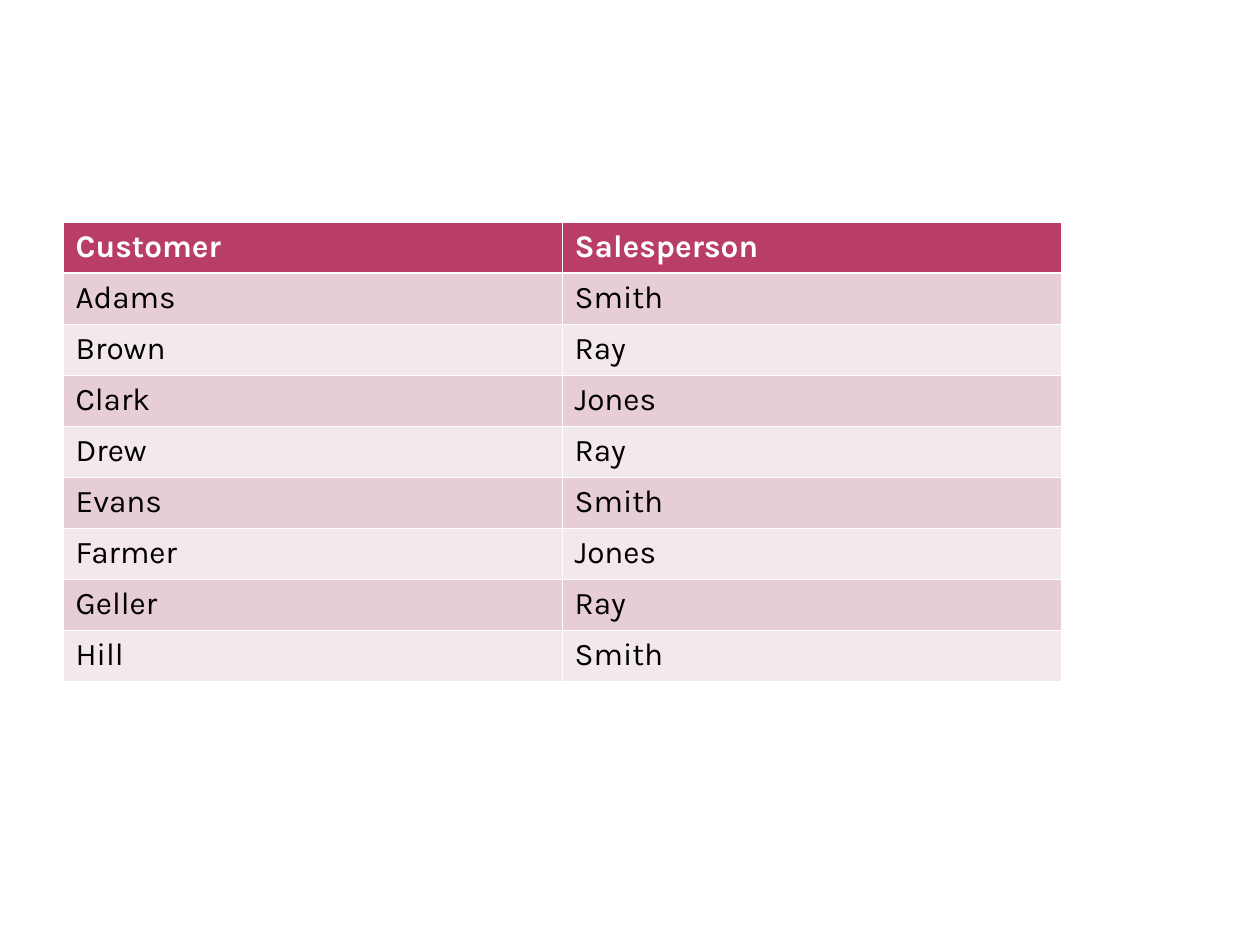
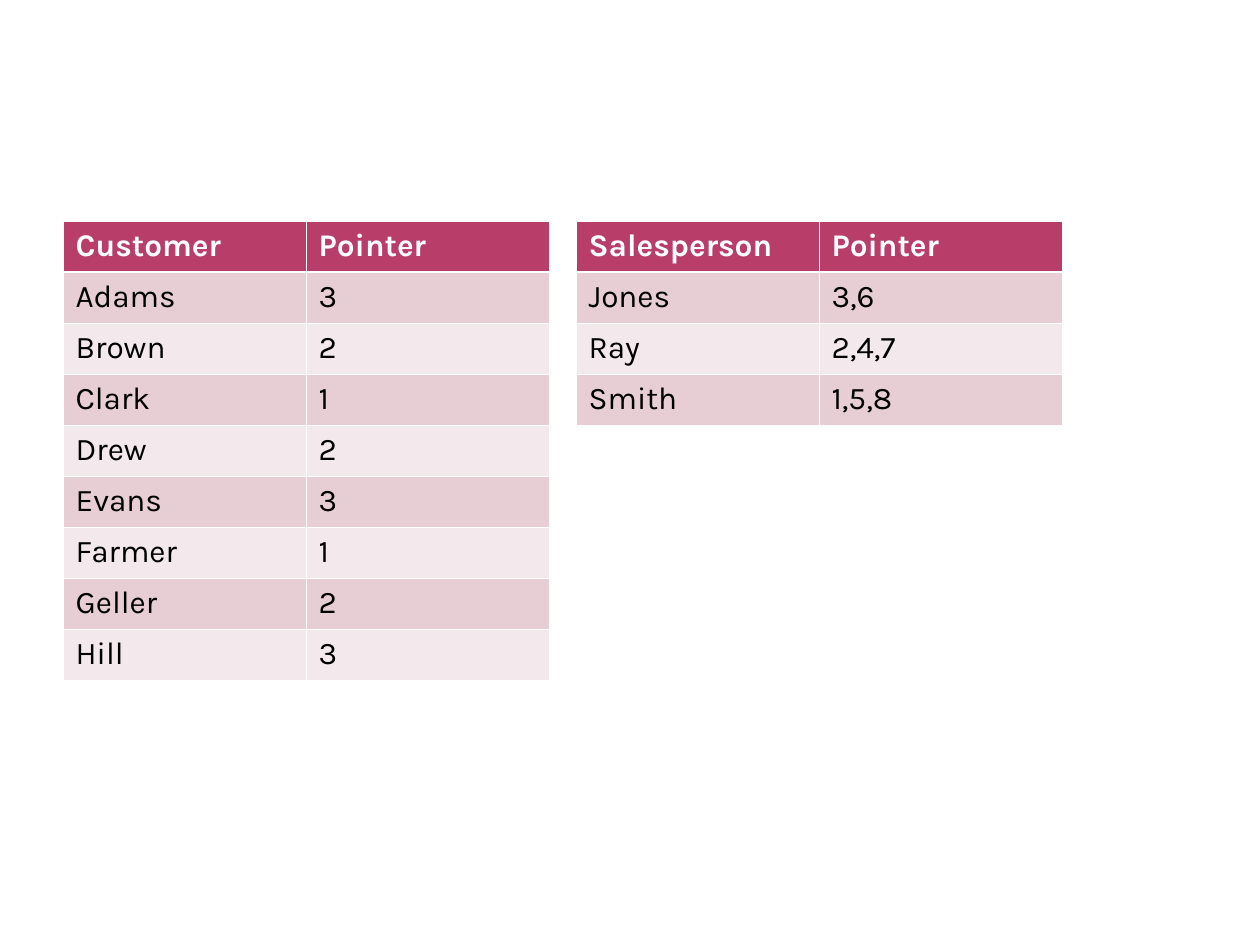
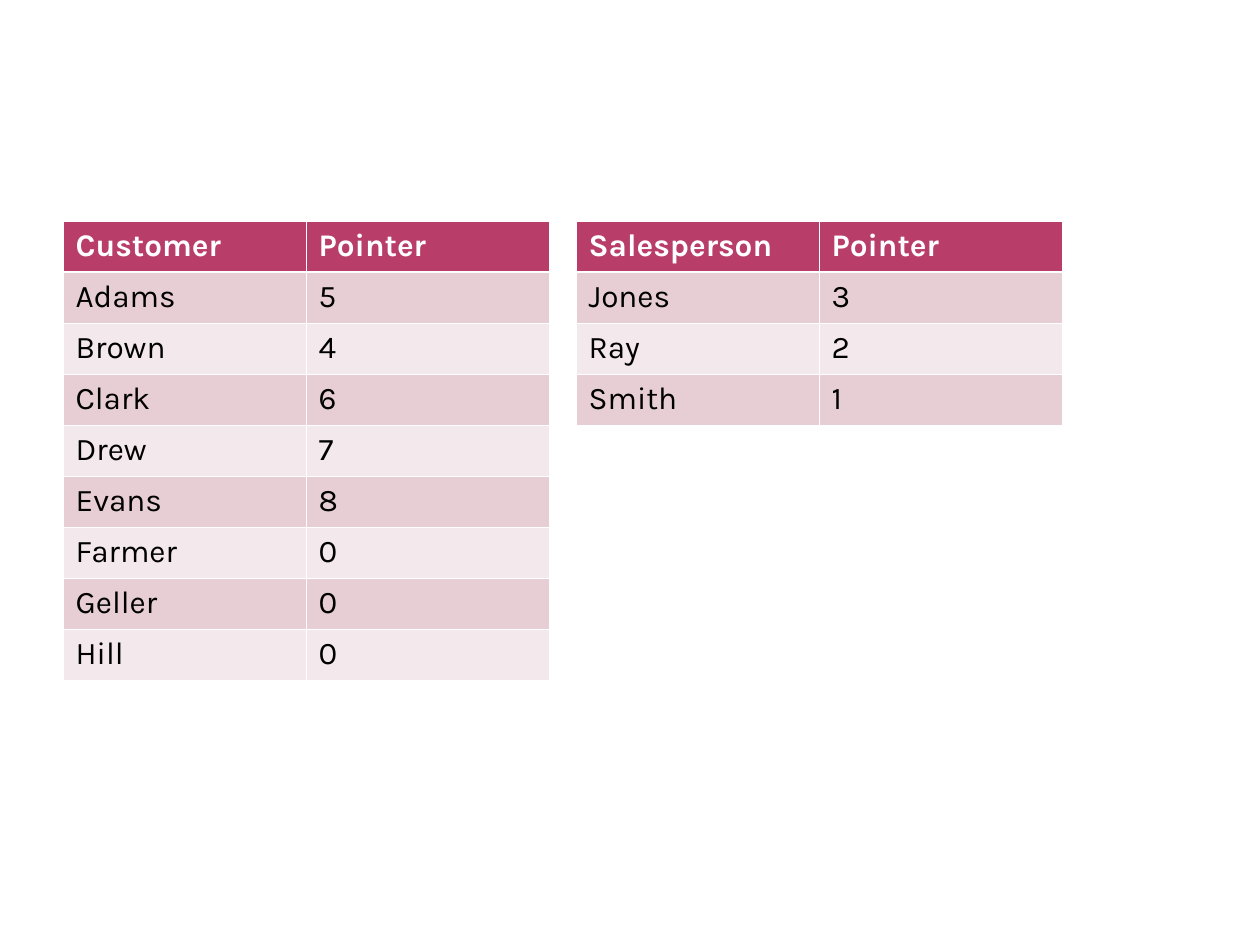
"""Build three slides of customer and salesperson lookup tables."""
from lxml import etree
from pptx import Presentation
from pptx.dml.color import RGBColor
from pptx.oxml.ns import qn
from pptx.util import Emu, Pt

PX = 914400 / 126
BLANK_LAYOUT = 6
COLORS = {
    "header": "B83D68",
    "odd_row": "E6CED4",
    "even_row": "F3E8EB",
    "border": "FFFFFF",
    "header_text": "FFFFFF",
    "body_text": "000000",
}
FONT = {"name": "Karla", "size": Pt(18)}
THIN, THICK = Pt(0.45), Pt(1.47)
ROW_HEIGHT = 51
LEFT, RIGHT_TABLE_LEFT = 63, 576
TOP, PAIR_TOP = 222, 221
WIDE_COLUMN, NARROW_COLUMN = 499, 243

CUSTOMERS = ["Adams", "Brown", "Clark", "Drew", "Evans", "Farmer", "Geller", "Hill"]
SALESPEOPLE = ["Jones", "Ray", "Smith"]
ASSIGNED = ["Smith", "Ray", "Jones", "Ray", "Smith", "Jones", "Ray", "Smith"]
POINTER_PAIRS = [
    (["3", "2", "1", "2", "3", "1", "2", "3"], ["3,6", "2,4,7", "1,5,8"]),
    (["5", "4", "6", "7", "8", "0", "0", "0"], ["3", "2", "1"]),
]


def px(length):
    """Turn whole pixels into EMU."""
    return Emu(round(length * PX))


def rgb(name):
    """Look up a named colour."""
    return RGBColor.from_string(COLORS[name])


def set_borders(cell, widths):
    """Draw the cell's borders, given a width for each side."""
    properties = cell._tc.get_or_add_tcPr()
    for index, (side, width) in enumerate(widths.items()):
        line = etree.Element(qn(f"a:ln{side}"), w=str(width))
        fill = etree.SubElement(line, qn("a:solidFill"))
        etree.SubElement(fill, qn("a:srgbClr"), val=COLORS["border"])
        properties.insert(index, line)


def format_cell(cell, text, row):
    """Fill one cell with text, colour and borders according to its row."""
    is_header = row == 0
    cell.text = text
    cell.fill.solid()
    band = "header" if is_header else ("even_row", "odd_row")[row % 2]
    cell.fill.fore_color.rgb = rgb(band)
    font = cell.text_frame.paragraphs[0].runs[0].font
    for attribute, value in {**FONT, "bold": is_header}.items():
        setattr(font, attribute, value)
    font.color.rgb = rgb("header_text" if is_header else "body_text")
    set_borders(cell, {
        "L": THIN,
        "R": THIN,
        "T": THICK if row == 1 else THIN,
        "B": THICK if is_header else THIN,
    })


def add_lookup_table(slide, left, top, column_width, headings, *columns):
    """Add a banded table with a heading above each column of values."""
    rows = [headings, *zip(*columns)]
    size = px(column_width * len(headings)), px(ROW_HEIGHT * len(rows))
    table = slide.shapes.add_table(
        len(rows), len(headings), px(left), px(top), *size).table
    for column in table.columns:
        column.width = px(column_width)
    for row_index, values in enumerate(rows):
        table.rows[row_index].height = px(ROW_HEIGHT)
        for column_index, text in enumerate(values):
            format_cell(table.cell(row_index, column_index), text, row_index)


def add_slide(presentation):
    """Add an empty slide."""
    return presentation.slides.add_slide(presentation.slide_layouts[BLANK_LAYOUT])


def main():
    """Build and save the presentation."""
    presentation = Presentation()
    presentation.slide_width, presentation.slide_height = px(1260), px(945)

    add_lookup_table(add_slide(presentation), LEFT, TOP, WIDE_COLUMN,
                     ("Customer", "Salesperson"), CUSTOMERS, ASSIGNED)

    for customer_pointers, salesperson_pointers in POINTER_PAIRS:
        slide = add_slide(presentation)
        add_lookup_table(slide, LEFT, PAIR_TOP, NARROW_COLUMN,
                         ("Customer", "Pointer"), CUSTOMERS, customer_pointers)
        add_lookup_table(slide, RIGHT_TABLE_LEFT, PAIR_TOP, NARROW_COLUMN,
                         ("Salesperson", "Pointer"), SALESPEOPLE, salesperson_pointers)

    presentation.save("out.pptx")


if __name__ == "__main__":
    main()
